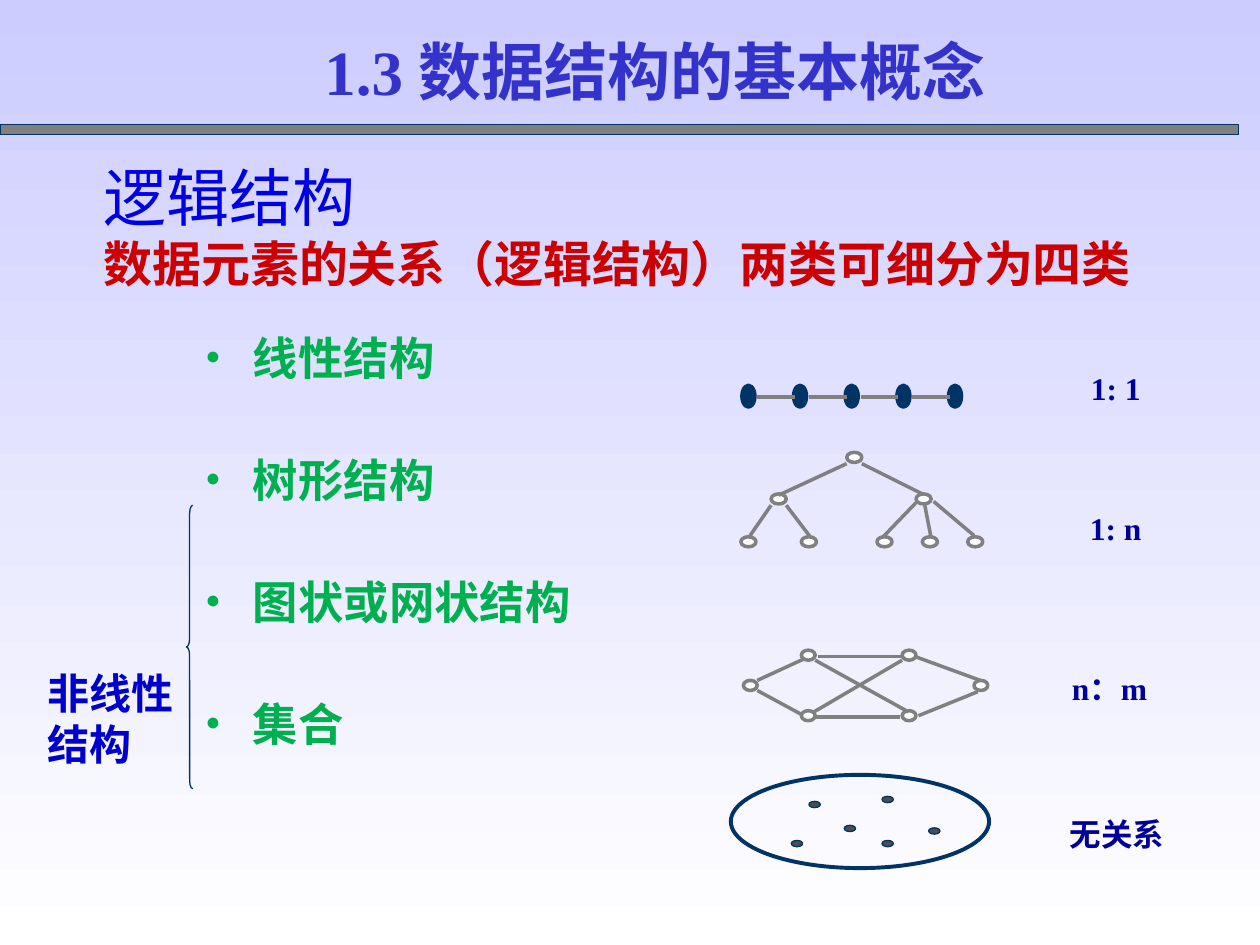
from lxml import etree
from pptx import Presentation
from pptx.dml.color import RGBColor
from pptx.enum.shapes import MSO_CONNECTOR, MSO_SHAPE
from pptx.enum.text import MSO_ANCHOR, PP_ALIGN
from pptx.oxml.ns import qn
from pptx.util import Inches, Pt

OVAL, RECT, BRACE = MSO_SHAPE.OVAL, MSO_SHAPE.RECTANGLE, MSO_SHAPE.LEFT_BRACE
STRAIGHT = MSO_CONNECTOR.STRAIGHT
LEFT, CENTER = PP_ALIGN.LEFT, PP_ALIGN.CENTER
MIDDLE, TOP = MSO_ANCHOR.MIDDLE, MSO_ANCHOR.TOP
SERIF, CJK = "Times New Roman", "Noto Sans CJK SC"
COLORS = {
    "sky": "CCCCFF", "white": "FFFFFF", "gray": "808080", "dark_gray": "4D4D4D",
    "navy": "003366", "heading": "3333CC", "topic": "0000E6", "claim": "CC0000",
    "bullet": "00B050", "ratio": "000099", "group": "0000CC",
}


def rgb(name):
    """Return the named colour."""
    return RGBColor.from_string(COLORS[name])


def style(paragraph, size, color, bold=True, face=SERIF, align=LEFT):
    """Set the alignment and font of a paragraph."""
    paragraph.alignment = align
    font = paragraph.font
    font.size, font.bold, font.name = Pt(size), bold, face
    font.color.rgb = rgb(color)
    etree.SubElement(font._element, qn("a:ea"), typeface=CJK)


def add_label(slide, box, text, size, color, align=LEFT):
    """Add a wrapped one-paragraph text box."""
    frame = slide.shapes.add_textbox(*map(Inches, box)).text_frame
    frame.word_wrap = True
    frame.text = text
    style(frame.paragraphs[0], size, color, align=align)


def add_figure(shapes, preset, box, fill, line, width):
    """Add a preset shape, unfilled when fill is None."""
    figure = shapes.add_shape(preset, *map(Inches, box))
    figure.shadow.inherit = False
    if fill:
        figure.fill.solid()
        figure.fill.fore_color.rgb = rgb(fill)
    else:
        figure.fill.background()
    figure.line.color.rgb = rgb(line)
    figure.line.width = Pt(width)
    return figure


def add_network(slide, box, node_size, nodes, edges, fill, line, width):
    """Draw grouped nodes and gray edges, placed relative to the box corner."""
    left, top = box
    shapes = slide.shapes.add_group_shape().shapes
    for x, y in nodes:
        add_figure(shapes, OVAL, (left + x, top + y, *node_size), fill, line, width)
    for x1, y1, x2, y2 in edges:
        ends = (left + x1, top + y1, left + x2, top + y2)
        edge = shapes.add_connector(STRAIGHT, *map(Inches, ends))
        edge.line.color.rgb = rgb("gray")
        edge.line.width = Pt(width)
        etree.SubElement(edge._element.spPr, qn("a:effectLst"))


def add_chain(slide, box):
    """Draw the linear structure."""
    pitch = 0.41
    nodes = [(pitch * i, 0) for i in range(5)]
    edges = [(pitch * i + 0.12, 0.09, pitch * i + 0.42, 0.09) for i in range(4)]
    add_network(slide, box, (0.1, 0.17), nodes, edges, "navy", "navy", 2.25)


def add_tree(slide, box):
    """Draw the tree structure."""
    leaves = [(x, 0.67) for x in (0, 0.48, 1.08, 1.44, 1.8)]
    nodes = [(0.84, 0), (0.24, 0.33), (1.39, 0.33), *leaves]
    edges = [
        (0.84, 0.09, 0.3, 0.34), (0.96, 0.09, 1.44, 0.33),
        (0.24, 0.42, 0.06, 0.68), (0.36, 0.42, 0.55, 0.67),
        (1.39, 0.4, 1.13, 0.67), (1.46, 0.42, 1.51, 0.68), (1.53, 0.39, 1.85, 0.66),
    ]
    add_network(slide, box, (0.12, 0.08), nodes, edges, "white", "gray", 2)


def add_graph(slide, box):
    """Draw the graph structure."""
    nodes = [(x, y) for x in (0.46, 1.26) for y in (0, 0.48)]
    nodes += [(0, 0.24), (1.83, 0.24)]
    edges = [
        (0.11, 0.24, 0.48, 0.07), (0.11, 0.32, 0.46, 0.51),
        (0.59, 0.05, 1.26, 0.05), (0.57, 0.53, 1.24, 0.53),
        (1.36, 0.05, 1.88, 0.24), (1.39, 0.52, 1.86, 0.33),
        (0.57, 0.08, 1.31, 0.49), (1.26, 0.08, 0.56, 0.49),
    ]
    add_network(slide, box, (0.11, 0.08), nodes, edges, "white", "gray", 2)


def add_set(slide, box):
    """Draw the set as an oval holding loose elements."""
    left, top = box[:2]
    shapes = slide.shapes.add_group_shape().shapes
    add_figure(shapes, OVAL, box, None, "navy", 2.25)
    elements = [(0.62, 0.21), (1.2, 0.17), (0.48, 0.52), (1.2, 0.52), (0.9, 0.4), (1.57, 0.42)]
    for x, y in elements:
        add_figure(shapes, OVAL, (left + x, top + y, 0.09, 0.05), "dark_gray", "navy", 0.75)


def add_title(slide, box):
    """Place the topic and its claim in the title placeholder."""
    title = slide.shapes.title
    title.left, title.top, title.width, title.height = map(Inches, box)
    frame = title.text_frame
    frame.vertical_anchor = MIDDLE
    frame.margin_left = Inches(0.32)
    frame.text = "逻辑结构\n数据元素的关系（逻辑结构）两类可细分为四类"
    topic, claim = frame.paragraphs
    style(topic, 36, "topic", bold=False, face=CJK)
    style(claim, 28, "claim")


def add_structures(slide, box):
    """List the four kinds of structure as bullets."""
    frame = slide.shapes.add_textbox(*map(Inches, box)).text_frame
    frame.word_wrap = True
    frame.vertical_anchor = TOP
    frame.margin_top = 0
    frame.text = "线性结构\n树形结构\n图状或网状结构\n集合"
    for i, kind in enumerate(frame.paragraphs):
        props = kind._p.get_or_add_pPr()
        props.set("marL", str(Inches(0.38)))
        props.set("indent", str(-Inches(0.38)))
        bullet_color = etree.SubElement(props, qn("a:buClr"))
        etree.SubElement(bullet_color, qn("a:srgbClr"), val=COLORS["bullet"])
        etree.SubElement(props, qn("a:buFont"), typeface=SERIF)
        etree.SubElement(props, qn("a:buChar"), char="•")
        kind.space_before = Pt(38.7 if i else 0)
        style(kind, 25.9, "bullet")


def add_nonlinear(slide, box):
    """Bracket the nonlinear structures and name them."""
    left, top, width, height = box
    brace = add_figure(slide.shapes, BRACE, (left + width - 0.05, top, 0.05, height), None, "navy", 0.75)
    brace.adjustments[0] = 1.3
    add_label(slide, (left, top + 1.24, 1.34, 0.9), "非线性结构", 24, "group")


def set_background(slide):
    """Fade the background from sky at the top to white."""
    fill = slide.background.fill
    fill.gradient()
    fill.gradient_angle = 270
    for stop, position, name in zip(fill.gradient_stops, (0, 1), ("sky", "white")):
        stop.position = position
        stop.color.rgb = rgb(name)


def main():
    """Build the slide and save it."""
    deck = Presentation()
    deck.slide_width, deck.slide_height = Inches(10), Inches(7.5)
    slide = deck.slides.add_slide(deck.slide_layouts[5])
    set_background(slide)
    add_figure(slide.shapes, RECT, (0, 0.99, 9.83, 0.08), "gray", "navy", 0.75)
    add_title(slide, (0.5, 1.08, 9, 1.42))
    add_structures(slide, (1.53, 2.62, 7.56, 3.86))
    add_chain(slide, (5.89, 3.06))
    add_tree(slide, (5.88, 3.59))
    add_graph(slide, (5.9, 5.16))
    add_label(slide, (2.32, 0.21, 5.76, 0.7), "1.3 数据结构的基本概念", 36, "heading", CENTER)
    add_nonlinear(slide, (0.28, 4.01, 1.25, 2.25))
    add_set(slide, (5.8, 6.15, 2.05, 0.74))
    ratios = [(8.23, 2.88, "1: 1"), (8.23, 3.99, "1: n"), (8.18, 5.26, "n：m"), (8.24, 6.42, "无关系")]
    for left, top, ratio in ratios:
        add_label(slide, (left, top, 1.25, 0.4), ratio, 18, "ratio", CENTER)
    deck.save("out.pptx")


if __name__ == "__main__":
    main()
